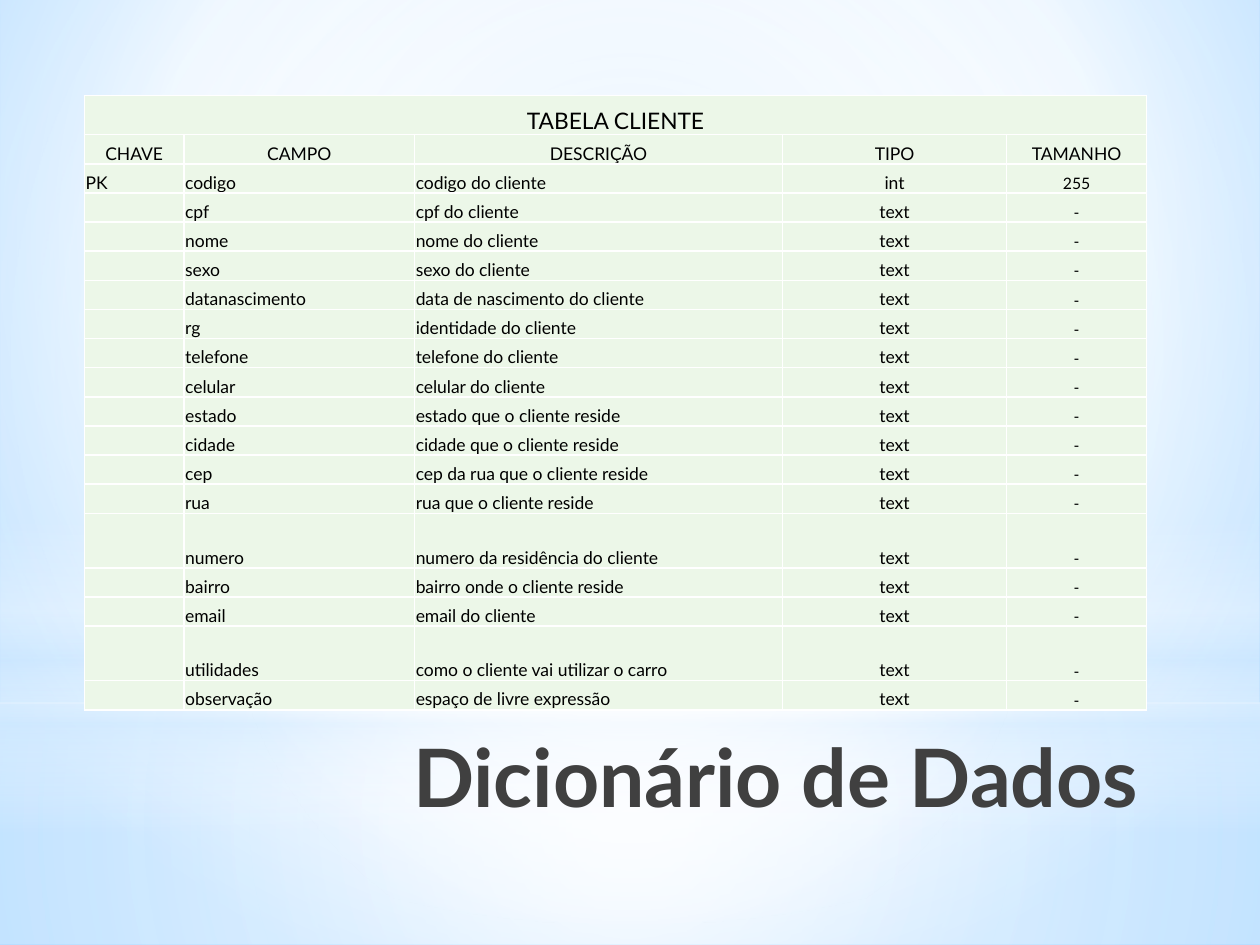
import dataclasses
import typing

import lxml.etree
import pptx
import pptx.dml.color
import pptx.enum.shapes
import pptx.enum.text
import pptx.oxml.ns
import pptx.util

Pt = pptx.util.Pt
qn = pptx.oxml.ns.qn
Align = pptx.enum.text.PP_ALIGN
Preset = pptx.enum.shapes.MSO_SHAPE


@dataclasses.dataclass(frozen=True)
class Theme:
    font: str = "Lato"
    ink: str = "000000"
    heading_ink: str = "404040"
    cell: str = "ECF7E8"
    rule: str = "FFFFFF"
    white: str = "FFFFFF"
    mist: str = "D6ECFF"
    sky: str = "C2E3FF"
    deep_sky: str = "79C1FF"
    heading_size: float = 46
    caption_size: float = 13
    body_size: float = 10
    size_column_size: float = 9


THEME = Theme()


class Stop(typing.NamedTuple):
    position: float
    color: str
    opacity: float = 100


@dataclasses.dataclass(frozen=True)
class Gradient:
    stops: tuple[Stop, ...]
    focus: tuple[float, float, float, float] | None = (50, 50, 50, 50)


@dataclasses.dataclass(frozen=True)
class Glow:
    top: float
    height: float
    gradient: Gradient
    preset: Preset = Preset.RECTANGLE


SLIDE_WIDTH, SLIDE_HEIGHT = 720, 540
WHITE, MIST = THEME.white, THEME.mist

BACKDROP = Gradient(
    (Stop(0, THEME.sky), Stop(60, WHITE), Stop(100, THEME.deep_sky)), (20, 10, 20, 60)
)
GLOWS = (
    Glow(401.76, 138.24, Gradient((Stop(0, WHITE, 91), Stop(37, WHITE, 76), Stop(100, MIST, 79)))),
    Glow(0, 401.76, Gradient((Stop(0, WHITE, 89), Stop(48, WHITE, 62), Stop(100, MIST, 79)))),
    Glow(296.64, 180, Gradient((
        Stop(0, WHITE, 0), Stop(29, WHITE, 30), Stop(45, MIST, 40),
        Stop(55, WHITE, 26), Stop(65, MIST, 60), Stop(100, WHITE, 0),
    ), None)),
    Glow(126, 401.76, Gradient((Stop(0, WHITE), Stop(56, WHITE, 0))), Preset.OVAL),
)

CAPTION = "TABELA CLIENTE"
HEADERS = ("CHAVE", "CAMPO", "DESCRIÇÃO", "TIPO", "TAMANHO")
FIELDS = (
    ("codigo", "codigo do cliente"),
    ("cpf", "cpf do cliente"),
    ("nome", "nome do cliente"),
    ("sexo", "sexo do cliente"),
    ("datanascimento", "data de nascimento do cliente"),
    ("rg", "identidade do cliente"),
    ("telefone", "telefone do cliente"),
    ("celular", "celular do cliente"),
    ("estado", "estado que o cliente reside"),
    ("cidade", "cidade que o cliente reside"),
    ("cep", "cep da rua que o cliente reside"),
    ("rua", "rua que o cliente reside"),
    ("numero", "numero da residência do cliente"),
    ("bairro", "bairro onde o cliente reside"),
    ("email", "email do cliente"),
    ("utilidades", "como o cliente vai utilizar o carro"),
    ("observação", "espaço de livre expressão"),
)
COLUMN_WIDTHS = (56.88, 131.76, 210.24, 128.16, 79.92)
CAPTION_HEIGHT, ROW_HEIGHT, TALL_HEIGHT = 22.3, 16.65, 31.2
TALL_FIELDS = {"numero", "utilidades"}
CENTERED_COLUMNS = {3, 4}
CELL_FORMAT = {
    "margin_left": Pt(0.72),
    "margin_top": Pt(0.72),
    "margin_right": Pt(0.72),
    "margin_bottom": Pt(0),
    "vertical_anchor": pptx.enum.text.MSO_ANCHOR.BOTTOM,
}


def add_color(parent, color: str, opacity: float = 100) -> None:
    tint = lxml.etree.SubElement(parent, qn("a:srgbClr"), val=color)
    if opacity < 100:
        lxml.etree.SubElement(tint, qn("a:alpha"), val=str(opacity * 1000))


def apply_gradient(fill, owner, gradient: Gradient) -> None:
    fill.gradient()
    node = next(owner.iter(qn("a:gradFill")))
    for child in list(node):
        node.remove(child)
    stop_list = lxml.etree.SubElement(node, qn("a:gsLst"))
    for stop in gradient.stops:
        entry = lxml.etree.SubElement(stop_list, qn("a:gs"), pos=str(stop.position * 1000))
        add_color(entry, stop.color, stop.opacity)
    if gradient.focus is None:
        lxml.etree.SubElement(node, qn("a:lin"), ang="5400000", scaled="0")
    else:
        radial = lxml.etree.SubElement(node, qn("a:path"), path="circle")
        edges = {edge: str(value * 1000) for edge, value in zip("ltrb", gradient.focus)}
        lxml.etree.SubElement(radial, qn("a:fillToRect"), edges)


def draw_glow(slide, glow: Glow) -> None:
    light = slide.shapes.add_shape(glow.preset, 0, Pt(glow.top), Pt(SLIDE_WIDTH), Pt(glow.height))
    light.shadow.inherit = False
    light.line.fill.background()
    apply_gradient(light.fill, light._element.spPr, glow.gradient)


def write(paragraph, text: str, size: float, color: str, align: Align, bold: bool = False) -> None:
    paragraph.alignment = align
    run = paragraph.add_run()
    run.text = text
    font_format = {"name": THEME.font, "size": Pt(size), "bold": bold}
    for attribute, value in font_format.items():
        setattr(run.font, attribute, value)
    run.font.color.rgb = pptx.dml.color.RGBColor.from_string(color)


def draw_cell(cell, text: str, size: float, align: Align) -> None:
    for attribute, value in CELL_FORMAT.items():
        setattr(cell, attribute, value)
    properties = cell._tc.get_or_add_tcPr()
    for side in ("a:lnL", "a:lnR", "a:lnT", "a:lnB"):
        border = lxml.etree.SubElement(properties, qn(side), w=str(int(Pt(1))))
        add_color(lxml.etree.SubElement(border, qn("a:solidFill")), THEME.rule)
    cell.fill.solid()
    cell.fill.fore_color.rgb = pptx.dml.color.RGBColor.from_string(THEME.cell)
    paragraph = cell.text_frame.paragraphs[0]
    if text:
        write(paragraph, text, size, THEME.ink, align)
    else:
        lxml.etree.SubElement(paragraph._p, qn("a:endParaRPr"), sz=str(int(size * 100)))


def draw_dictionary(slide) -> None:
    records = [(CAPTION, "", "", "", ""), HEADERS]
    for index, (name, description) in enumerate(FIELDS):
        key, kind, length = ("PK", "int", "255") if index == 0 else ("", "text", "-")
        records.append((key, name, description, kind, length))
    heights = [CAPTION_HEIGHT, ROW_HEIGHT]
    heights += [TALL_HEIGHT if name in TALL_FIELDS else ROW_HEIGHT for name, _ in FIELDS]
    table = slide.shapes.add_table(
        len(records), len(HEADERS), Pt(48.24), Pt(54.72), Pt(sum(COLUMN_WIDTHS)), Pt(sum(heights))
    ).table
    table.first_row = table.horz_banding = False
    for column, width in zip(table.columns, COLUMN_WIDTHS):
        column.width = Pt(width)
    for row_index, (record, height) in enumerate(zip(records, heights)):
        table.rows[row_index].height = Pt(height)
        for column_index, text in enumerate(record):
            centered = row_index < 2 or column_index in CENTERED_COLUMNS
            size = THEME.body_size
            if row_index == 0:
                size = THEME.caption_size
            elif row_index > 1 and column_index == len(HEADERS) - 1:
                size = THEME.size_column_size
            align = Align.CENTER if centered else Align.LEFT
            draw_cell(table.cell(row_index, column_index), text, size, align)
    table.cell(0, 0).merge(table.cell(0, len(HEADERS) - 1))


def draw_heading(slide) -> None:
    heading = slide.shapes.add_textbox(Pt(144.72), Pt(411.84), Pt(512.64), Pt(90)).text_frame
    heading.word_wrap = True
    write(heading.paragraphs[0], "Dicionário de Dados", THEME.heading_size,
          THEME.heading_ink, Align.RIGHT, True)


def main() -> None:
    deck = pptx.Presentation()
    deck.slide_width, deck.slide_height = Pt(SLIDE_WIDTH), Pt(SLIDE_HEIGHT)
    slide = deck.slides.add_slide(deck.slide_layouts[6])
    apply_gradient(slide.background.fill, slide._element, BACKDROP)
    for glow in GLOWS:
        draw_glow(slide, glow)
    draw_heading(slide)
    draw_dictionary(slide)
    deck.save("out.pptx")


if __name__ == "__main__":
    main()
